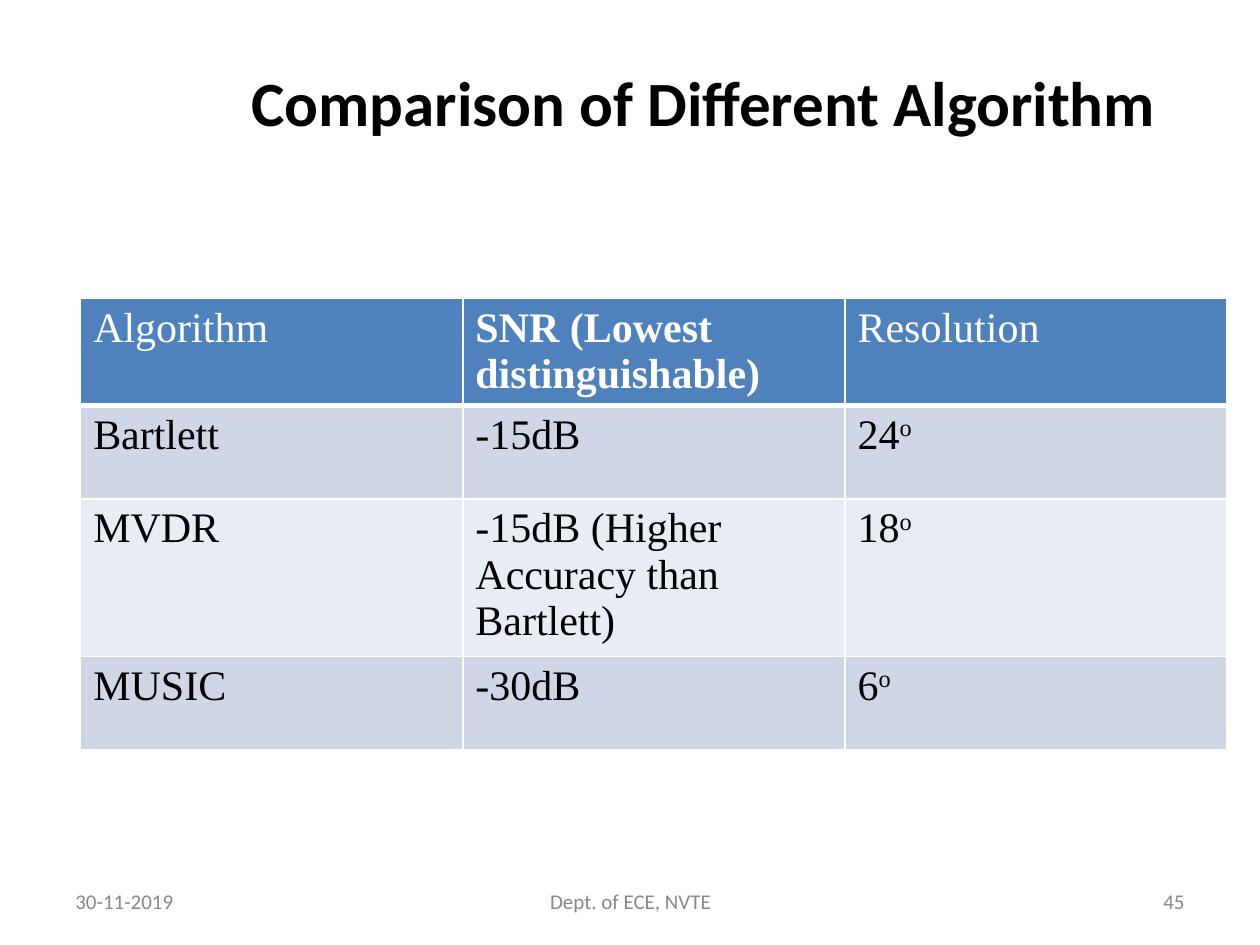
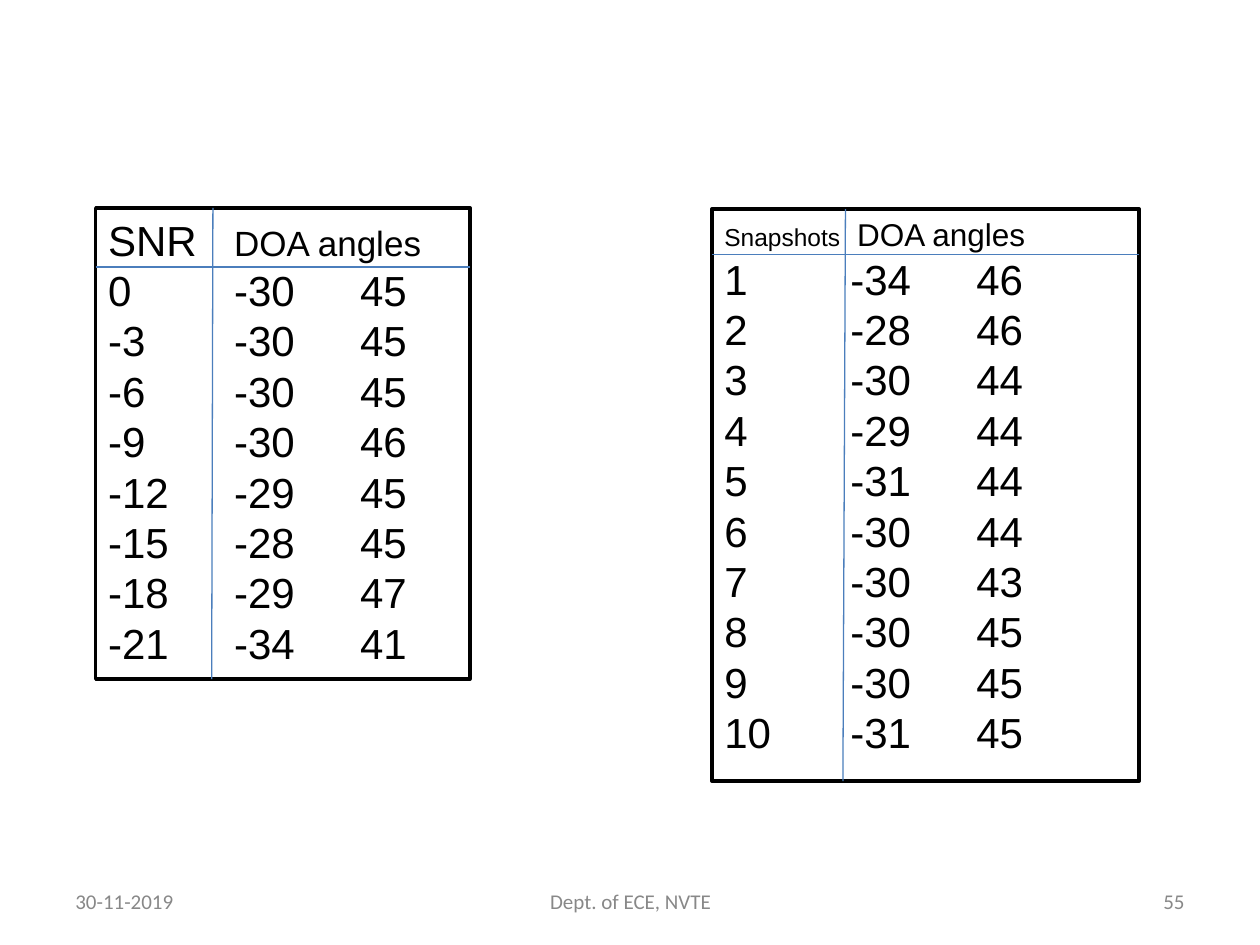
import dataclasses
import lxml.etree
import pptx
import pptx.dml.color
import pptx.enum.shapes
import pptx.enum.text
import pptx.oxml.ns
import pptx.util

Inches = pptx.util.Inches
Pt = pptx.util.Pt
Align = pptx.enum.text.PP_ALIGN
Anchor = pptx.enum.text.MSO_ANCHOR
qn = pptx.oxml.ns.qn


@dataclasses.dataclass(frozen=True)
class Theme:
    ink: str = "000000"
    paper: str = "FFFFFF"
    grey: str = "888888"
    head: str = "4F81BD"
    bands: tuple = ("CFD7E7", "E8ECF4")
    rule: str = "4B7EBC"
    sans: str = "Calibri"
    serif: str = "Times New Roman"
    plain: str = "Arial"
    title: int = 36
    body: int = 24
    small: int = 12


def color(code):
    return pptx.dml.color.RGBColor.from_string(code)


class Deck:
    def __init__(self, theme):
        self.theme = theme
        self.file = pptx.Presentation()
        self.file.slide_width = Inches(10)
        self.file.slide_height = Inches(7.5)
        self.slide = None

    def start(self, number, title=None):
        layout = self.file.slide_layouts[5 if title else 6]
        self.slide = self.file.slides.add_slide(layout)
        if title:
            self.title(title)
        self.label("30-11-2019", 0.5, 2.33, Align.LEFT)
        self.label("Dept. of ECE, NVTE", 3.42, 3.17, Align.CENTER)
        self.label(number, 7.17, 2.33, Align.RIGHT)

    def style(self, run, face, size, ink, bold=False):
        run.font.name = face
        run.font.size = Pt(size)
        run.font.bold = bold
        run.font.color.rgb = color(ink)

    def title(self, text):
        box = self.slide.shapes.title
        box.left, box.top = Inches(1.73), Inches(0.33)
        box.width, box.height = Inches(7.71), Inches(1.03)
        frame = box.text_frame
        frame.text = text
        frame.auto_size = pptx.enum.text.MSO_AUTO_SIZE.NONE
        frame.vertical_anchor = Anchor.MIDDLE
        frame.margin_left = frame.margin_right = Inches(0.21)
        frame.margin_top = frame.margin_bottom = Inches(0.21)
        para = frame.paragraphs[0]
        para.alignment = Align.CENTER
        para.line_spacing = 0.9
        theme = self.theme
        self.style(para.runs[0], theme.sans, theme.title, theme.ink, True)

    def label(self, text, left, width, align):
        box = self.slide.shapes.add_textbox(
            Inches(left), Inches(6.95), Inches(width), Inches(0.4))
        frame = box.text_frame
        frame.word_wrap = True
        frame.vertical_anchor = Anchor.MIDDLE
        frame.text = text
        para = frame.paragraphs[0]
        para.alignment = align
        theme = self.theme
        self.style(para.runs[0], theme.sans, theme.small, theme.grey)

    def border(self, cell, base):
        props = cell._tc.get_or_add_tcPr()
        sides = {"lnL": 1, "lnR": 1, "lnT": 1, "lnB": base}
        for spot, (side, width) in enumerate(sides.items()):
            line = lxml.etree.Element(qn("a:" + side), w=str(Pt(width)))
            fill = lxml.etree.SubElement(line, qn("a:solidFill"))
            lxml.etree.SubElement(
                fill, qn("a:srgbClr"), val=self.theme.paper)
            props.insert(spot, line)

    def cell(self, cell, text, fill, ink, bold, base, power):
        cell.fill.solid()
        cell.fill.fore_color.rgb = color(fill)
        cell.margin_bottom = Inches(0)
        self.border(cell, base)
        para = cell.text_frame.paragraphs[0]
        para.text = text
        if power:
            mark = para.add_run()
            mark.text = power
            mark._r.get_or_add_rPr().set("baseline", "30000")
        for run in para.runs:
            self.style(run, self.theme.serif, self.theme.body, ink, bold)

    def table(self, rows, left, top, width, height):
        theme = self.theme
        grid = self.slide.shapes.add_table(
            len(rows), len(rows[0]), Inches(left), Inches(top),
            Inches(width), Inches(height * len(rows))).table
        grid.first_row = grid.horz_banding = False
        for y, row in enumerate(rows):
            grid.rows[y].height = Inches(height)
            head = y == 0
            fill = theme.head if head else theme.bands[(y - 1) % 2]
            ink = theme.paper if head else theme.ink
            for x, text in enumerate(row):
                power = "o" if x == 2 and not head else ""
                self.cell(grid.cell(y, x), text, fill, ink,
                          head and x == 1, 3 if head else 1, power)

    def line(self, start, end):
        link = self.slide.shapes.add_connector(
            pptx.enum.shapes.MSO_CONNECTOR.STRAIGHT,
            *map(Inches, start + end))
        link.line.color.rgb = color(self.theme.rule)
        link.line.width = Pt(0.75)
        props = link._element.find(qn("p:spPr"))
        lxml.etree.SubElement(props, qn("a:effectLst"))

    def tabs(self, para):
        props = para._p.get_or_add_pPr()
        stops = lxml.etree.SubElement(props, qn("a:tabLst"))
        for spot in (1, 2):
            lxml.etree.SubElement(
                stops, qn("a:tab"), pos=str(Inches(spot)), algn="l")

    def panel(self, area, head, rows, split, rule):
        theme = self.theme
        left, top, width, height = area
        box = self.slide.shapes.add_shape(
            pptx.enum.shapes.MSO_SHAPE.RECTANGLE, *map(Inches, area))
        box.shadow.inherit = False
        box.fill.solid()
        box.fill.fore_color.rgb = color(theme.paper)
        box.line.color.rgb = color(theme.ink)
        box.line.width = Pt(2)
        frame = box.text_frame
        frame.word_wrap = True
        frame.vertical_anchor = Anchor.TOP
        para = frame.paragraphs[0]
        for text, size in head:
            run = para.add_run()
            run.text = text
            self.style(run, theme.plain, size, theme.ink)
        for row in rows:
            para = frame.add_paragraph()
            para.text = "\t".join(map(str, row))
            self.style(para.runs[0], theme.plain, theme.body, theme.ink)
        for para in frame.paragraphs:
            para.alignment = Align.LEFT
            self.tabs(para)
        self.line((split[0], top), (split[1], top + height))
        self.line((left, rule), (left + width, rule))


def main():
    deck = Deck(Theme())
    deck.start("45", "Comparison of Different Algorithm")
    deck.table([
        ("Algorithm", "SNR (Lowest distinguishable)", "Resolution"),
        ("Bartlett", "-15dB", "24"),
        ("MVDR", "-15dB (Higher Accuracy than Bartlett)", "18"),
        ("MUSIC", "-30dB", "6"),
    ], 0.64, 2.37, 9.1, 0.74)

    deck.start("55")
    noise = [(0, -30, 45), (-3, -30, 45), (-6, -30, 45), (-9, -30, 46),
             (-12, -29, 45), (-15, -28, 45), (-18, -29, 47), (-21, -34, 41)]
    deck.panel((0.76, 1.65, 2.97, 3.74),
               [("SNR\t", 24), ("DOA angles", 20)],
               noise, (1.69, 1.68), 2.12)
    shots = [(1, -34, 46), (2, -28, 46), (3, -30, 44), (4, -29, 44),
             (5, -31, 44), (6, -30, 44), (7, -30, 43), (8, -30, 45),
             (9, -30, 45), (10, -31, 45)]
    deck.panel((5.65, 1.66, 3.39, 4.54),
               [("Snapshots\t ", 14), ("DOA angles", 18)],
               shots, (6.71, 6.69), 2.02)
    deck.file.save("out.pptx")


if __name__ == "__main__":
    main()
